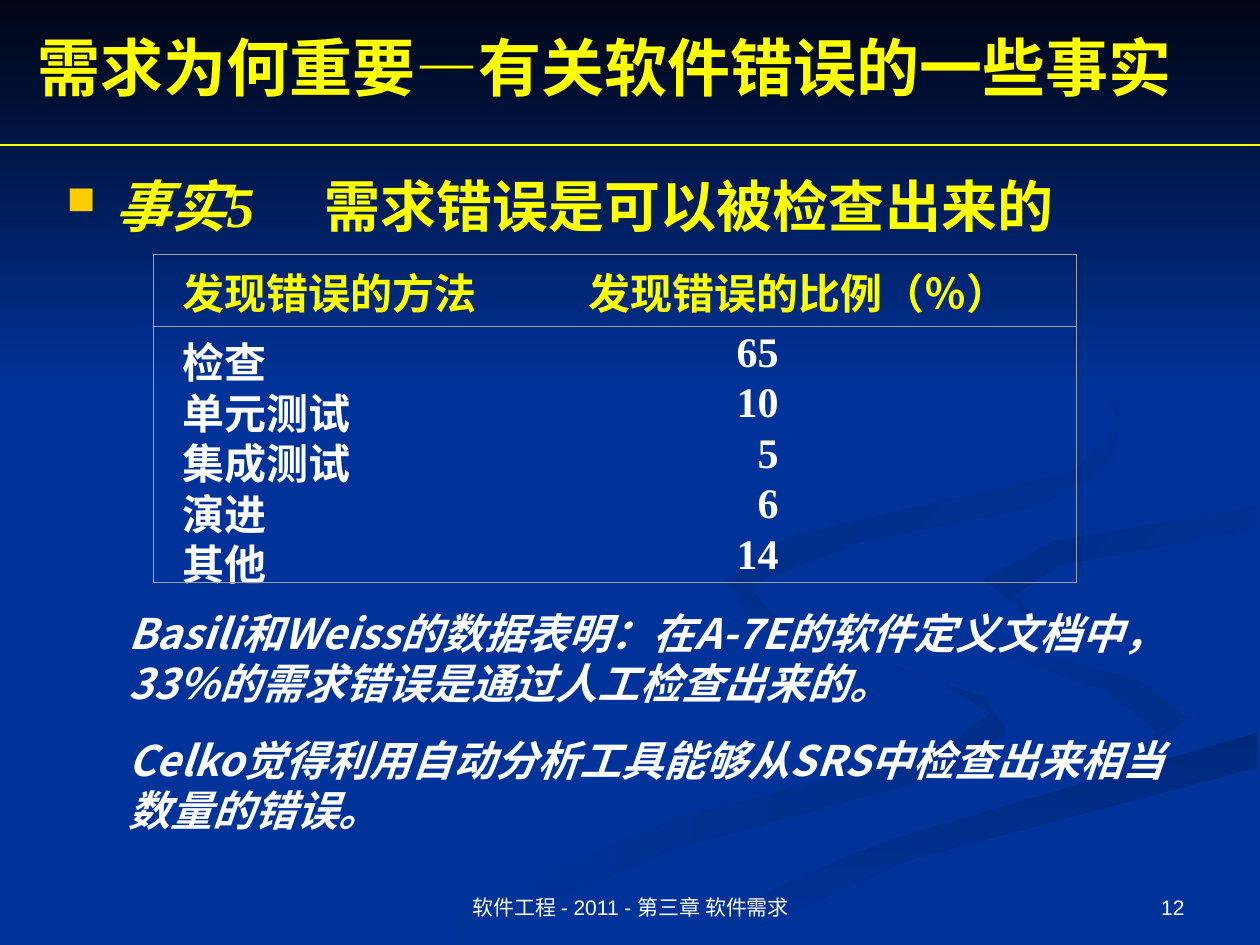
import pptx
import pptx.dml.color
import pptx.enum.shapes
import pptx.enum.text
import pptx.oxml.ns
import pptx.util
from lxml import etree

Inches = pptx.util.Inches
Pt = pptx.util.Pt
ALIGN = pptx.enum.text.PP_ALIGN
ANCHOR = pptx.enum.text.MSO_ANCHOR
qn = pptx.oxml.ns.qn


def color(value):
    return pptx.dml.color.RGBColor.from_string(value)


def add_run(paragraph, text, size=24, fill="FFFFFF", font="Times New Roman", bold=True, italic=False):
    run = paragraph.add_run()
    run.text = text
    run.font.size = Pt(size)
    run.font.name = font
    run.font.bold = bold
    run.font.italic = italic
    run.font.color.rgb = color(fill)
    etree.SubElement(run.font._element, qn("a:ea"), typeface="Noto Sans CJK SC")


presentation = pptx.Presentation()
presentation.slide_width = Inches(10)
presentation.slide_height = Inches(7.5)
slide = presentation.slides.add_slide(presentation.slide_layouts[6])
slide.background.fill.solid()
slide.background.fill.fore_color.rgb = color("003399")

backdrop = [
    ("002E8A", "003399", 180, [
        (7.81, 5.53), (6.42, 5.07), (5.75, 4.59), (5.93, 4.91), (7.41, 5.39), (7.86, 5.66),
        (7.49, 5.94), (5.39, 6.49), (3, 7.49), (3.61, 7.49), (5.32, 6.74), (7.56, 6.14), (8, 5.81)]),
    ("002E8A", "003399", 225, [
        (9.43, 5.7), (9.05, 5.4), (7.58, 4.98), (7.24, 4.64), (7.55, 5.05), (8.8, 5.49),
        (9.18, 5.81), (8.94, 6.05), (9.32, 5.89)]),
    ("00297C", "003399", 90, [
        (5.03, 7.49), (5.71, 7.49), (7.22, 6.82), (9.98, 6.09), (9.98, 5.81), (7.64, 6.47), (5.99, 7.06)]),
    ("003399", "003399", 0, [
        (7.25, 4.64), (7.75, 5.03), (9.05, 5.4), (9.43, 5.7), (8.92, 6.05), (6.63, 6.68),
        (4.77, 7.49), (5.19, 7.47), (6.96, 6.69), (9.99, 5.81), (9.99, 5.38), (8.32, 4.98),
        (7.81, 4.63), (8.35, 4.3), (9.99, 4.02), (9.99, 3.87), (7.7, 4.27)]),
    ("003399", "002C85", 225, [
        (7.81, 4.6), (8.26, 4.96), (8.05, 4.72), (8.43, 4.48), (9.98, 4.2), (9.98, 4.02), (8.35, 4.3)]),
    ("003399", "002B81", 225, [
        (6.83, 4.3), (8.25, 4.02), (8.83, 3.7), (8.9, 3.24), (8.43, 2.75), (7.62, 2.33),
        (8.62, 2.92), (8.89, 3.35), (8.52, 3.74), (6.25, 4.26), (5.77, 4.62), (6.22, 5),
        (5.94, 4.65)]),
    ("000514", "003399", 90, [(0, 0), (0, 3.08), (10, 3.08), (10, 0)]),
]
for start, end, angle, points in backdrop:
    builder = slide.shapes.build_freeform(*map(Inches, points[0]))
    builder.add_line_segments([(Inches(x), Inches(y)) for x, y in points[1:]], close=True)
    shape = builder.convert_to_shape()
    shape.shadow.inherit = False
    shape.line.fill.background()
    shape.fill.gradient()
    shape.fill.gradient_angle = (360 - angle) % 360
    for stop, position, value in zip(shape.fill.gradient_stops, (0, 1), (start, end)):
        stop.position = position
        stop.color.rgb = color(value)

rule = slide.shapes.add_connector(
    pptx.enum.shapes.MSO_CONNECTOR.STRAIGHT, Inches(0), Inches(1.15), Inches(10), Inches(1.15))
rule.line.color.rgb = color("FFFF00")
rule.line.width = Pt(0.75)
etree.SubElement(rule._element.spPr, qn("a:effectLst"))

arial = {"size": 12, "font": "Arial", "bold": False}
yellow = {"size": 32, "fill": "FFFF00"}
quote = {"font": "Noto Sans CJK SC", "italic": True}
text_boxes = [
    ((0.2, 0.14, 9.8, 0.77), ANCHOR.MIDDLE, ALIGN.LEFT,
     [[("需求为何重要—有关软件错误的一些事实", {"size": 36, "fill": "FFFF00"})]]),
    ((0.43, 1.31, 9, 1.29), ANCHOR.TOP, ALIGN.LEFT,
     [[("事实5\t", {**yellow, "italic": True}), ("需求错误是可以被检查出来的", yellow)]]),
    ((0.92, 4.77, 8.5, 1.91), ANCHOR.TOP, ALIGN.LEFT,
     [[("Basili和Weiss的数据表明：在A-7E的软件定义文档中，33％的需求错误是通过人工检查出来的。", quote)],
      [("Celko觉得利用自动分析工具能够从SRS中检查出来相当数量的错误。", quote)]]),
    ((3.42, 6.83, 3.17, 0.52), ANCHOR.BOTTOM, ALIGN.CENTER,
     [[("软件工程 - 2011 - 第三章 软件需求", arial)]]),
    ((7.17, 6.83, 2.33, 0.52), ANCHOR.BOTTOM, ALIGN.RIGHT, [[("12", arial)]]),
]
for box, anchor, alignment, paragraphs in text_boxes:
    frame = slide.shapes.add_textbox(*map(Inches, box)).text_frame
    frame.word_wrap = True
    frame.vertical_anchor = anchor
    for index, runs in enumerate(paragraphs):
        paragraph = frame.add_paragraph() if index else frame.paragraphs[0]
        paragraph.alignment = alignment
        if index:
            paragraph.space_before = Pt(15)
        if "\t" in runs[0][0]:
            properties = paragraph._p.get_or_add_pPr()
            properties.set("marL", str(Inches(0.38)))
            properties.set("indent", str(Inches(-0.38)))
            bullet_color = etree.SubElement(properties, qn("a:buClr"))
            etree.SubElement(bullet_color, qn("a:srgbClr"), val="FFCC00")
            etree.SubElement(properties, qn("a:buSzPct"), val="70000")
            etree.SubElement(properties, qn("a:buChar"), char="■")
            tabs = etree.SubElement(properties, qn("a:tabLst"))
            etree.SubElement(tabs, qn("a:tab"), pos=str(Inches(2.05)), algn="l")
        for text, style in runs:
            add_run(paragraph, text, **style)

rows = [("发现错误的方法", "发现错误的比例（％）"), ("检查", "65"), ("单元测试", "10"),
        ("集成测试", "5"), ("演进", "6"), ("其他", "14")]
table = slide.shapes.add_table(6, 2, Inches(1.22), Inches(2.02), Inches(7.32), Inches(2.6)).table
table.first_row = False
table.horz_banding = False
for column, width in zip(table.columns, (3.35, 3.97)):
    column.width = Inches(width)
for row_index, row in enumerate(rows):
    header = row_index == 0
    table.rows[row_index].height = Inches(0.57 if header else 0.43 if row_index == 1 else 0.4)
    for column_index, text in enumerate(row):
        cell = table.cell(row_index, column_index)
        cell.margin_left = Inches(0.1 if column_index else 0.23)
        cell.margin_right = Inches(0 if header or column_index == 0 else 2.36)
        cell.margin_top = Inches(0.05 if header else 0.03 if row_index == 1 else 0)
        cell.margin_bottom = Inches(0)
        paragraph = cell.text_frame.paragraphs[0]
        paragraph.alignment = ALIGN.RIGHT if column_index and not header else ALIGN.LEFT
        add_run(paragraph, text, fill="FFFF00" if header else "FFFFFF")
        properties = cell._tc.get_or_add_tcPr()
        edges = {"a:lnL": column_index == 0, "a:lnR": column_index == 1,
                 "a:lnT": row_index < 2, "a:lnB": row_index in (0, 5)}
        for edge, visible in edges.items():
            border = etree.SubElement(properties, qn(edge), w=str(Pt(0.5)))
            if visible:
                border_fill = etree.SubElement(border, qn("a:solidFill"))
                etree.SubElement(border_fill, qn("a:srgbClr"), val="A0A0A0")
            else:
                etree.SubElement(border, qn("a:noFill"))
        cell.fill.background()

presentation.save("out.pptx")
